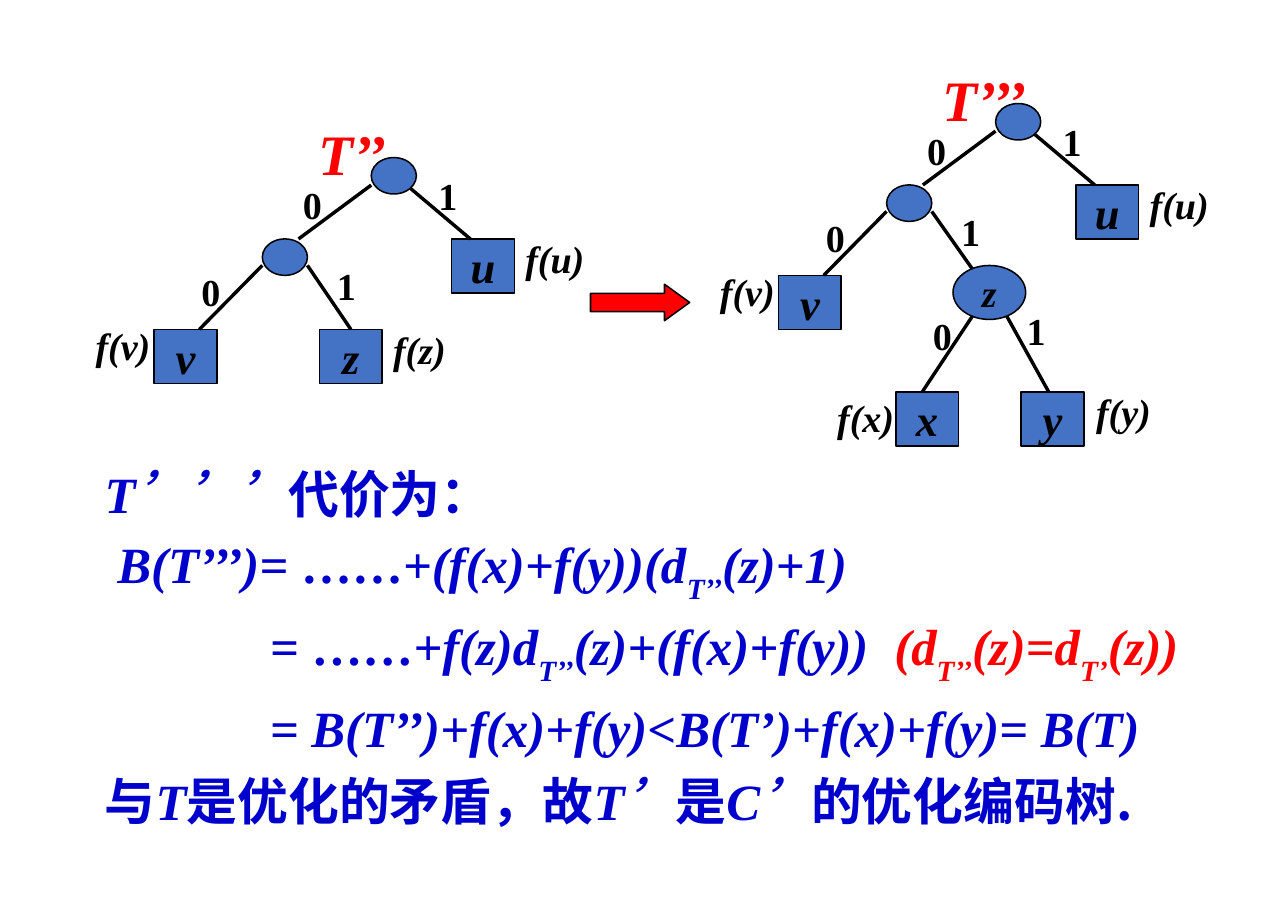
"""Build the slide comparing the coding trees T'' and T''' with their costs."""
from lxml import etree
from pptx import Presentation
from pptx.dml.color import RGBColor
from pptx.enum import shapes, text
from pptx.oxml import ns
from pptx.util import Pt

COLORS = {"blue": "0000CC", "red": "FF0000", "black": "000000", "node": "4472C4"}
LATIN = "Times New Roman"
CHINESE = "Noto Sans CJK SC"
BOX = (41, 35.3)
OVAL = (29.5, 23.8)
RIGHT_TREE = (408, -35.3)

STYLES = {
    "math": {},
    "sub": {"baseline": -30},
    "dots": {"italic": False},
    "chinese": {"italic": False, "font": CHINESE},
    "note": {"color": "red"},
    "notesub": {"color": "red", "baseline": -30},
}
JUSTIFY, LEFT = text.PP_ALIGN.JUSTIFY, text.PP_ALIGN.LEFT
PROOF = [
    (0, JUSTIFY, [("T’’’", "math"), ("代价为：", "chinese")]),
    (9, JUSTIFY, [(" B(T’’’)= ", "math"), ("……", "dots"), ("+(f(x)+f(y))(d", "math"),
                  ("T’’", "sub"), ("(z)+1)", "math")]),
    (9.6, JUSTIFY, [("             = ", "math"), ("……", "dots"), ("+f(z)d", "math"),
                    ("T’’", "sub"), ("(z)+(f(x)+f(y))  ", "math"), ("(d", "note"),
                    ("T’’", "notesub"), ("(z)=d", "note"), ("T’", "notesub"),
                    ("(z))", "note")]),
    (2.4, JUSTIFY, [("             = B(T’’)+f(x)+f(y)<B(T’)+f(x)+f(y)= B(T)", "math")]),
    (3.6, LEFT, [("与", "chinese"), ("T", "math"), ("是优化的矛盾，故", "chinese"),
                 ("T’", "math"), ("是", "chinese"), ("C’", "math"),
                 ("的优化编码树.", "chinese")]),
]


def rgb(name):
    """Return the named colour."""
    return RGBColor.from_string(COLORS[name])


def add_run(paragraph, content, size=24.9, color="black", italic=True, font=LATIN, baseline=0):
    """Write one bold run with its format."""
    run = paragraph.add_run()
    run.text = content
    run.font.size = Pt(size)
    run.font.bold = True
    run.font.italic = italic
    run.font.name = font
    run.font.color.rgb = rgb(color)
    properties = run._r.get_or_add_rPr()
    etree.SubElement(properties, ns.qn("a:ea")).set("typeface", CHINESE)
    if baseline:
        properties.set("baseline", str(baseline * 1000))


def add_node(slide, kind, left, top, size, label="", label_size=29.1, fill="node"):
    """Add a filled, outlined shape with an optional centred label."""
    shape = slide.shapes.add_shape(kind, Pt(left), Pt(top), Pt(size[0]), Pt(size[1]))
    shape.shadow.inherit = False
    shape.fill.solid()
    shape.fill.fore_color.rgb = rgb(fill)
    shape.line.color.rgb = rgb("black")
    shape.line.width = Pt(1)
    if label:
        frame = shape.text_frame
        frame.word_wrap = False
        frame.vertical_anchor = text.MSO_ANCHOR.MIDDLE
        frame.paragraphs[0].alignment = text.PP_ALIGN.CENTER
        add_run(frame.paragraphs[0], label, size=label_size)
    return shape


def add_label(slide, content, left, top, width=60, height=37.4, **style):
    """Add a one-line text label with room to spare."""
    frame = slide.shapes.add_textbox(Pt(left), Pt(top), Pt(width), Pt(height)).text_frame
    frame.word_wrap = True
    frame.auto_size = text.MSO_AUTO_SIZE.NONE
    add_run(frame.paragraphs[0], content, **style)


def add_bit(slide, bit, left, top):
    """Add the 0 or 1 beside an edge."""
    add_label(slide, bit, left, top, width=30, italic=False)


def add_edge(slide, start_x, start_y, end_x, end_y):
    """Add a black tree edge."""
    edge = slide.shapes.add_connector(
        shapes.MSO_CONNECTOR.STRAIGHT, Pt(start_x), Pt(start_y), Pt(end_x), Pt(end_y))
    edge.line.color.rgb = rgb("black")
    edge.line.width = Pt(2.25)
    etree.SubElement(edge._element.spPr, ns.qn("a:effectLst"))
    return edge


def add_upper_tree(slide, name, name_width, shift_x=0, shift_y=0):
    """Draw the part both trees share and return the edge that leads to z."""
    rectangle, oval = shapes.MSO_SHAPE.RECTANGLE, shapes.MSO_SHAPE.OVAL
    for kind, left, top, size, label in [
            (rectangle, 295.2, 156.2, BOX, "u"), (rectangle, 100.8, 215.3, BOX, "v"),
            (oval, 171.4, 156.2, OVAL, "")]:
        add_node(slide, kind, left + shift_x, top + shift_y, size, label)
    for start_x, start_y, end_x, end_y in [
            (242.6, 121, 195.1, 156.2), (265.7, 121, 307.4, 156.2),
            (171.4, 173.5, 130.3, 215.3), (200.9, 173.5, 230.4, 215.3)]:
        edge = add_edge(slide, start_x + shift_x, start_y + shift_y,
                        end_x + shift_x, end_y + shift_y)
    add_node(slide, oval, 242.6 + shift_x, 103 + shift_y, OVAL)
    add_label(slide, name, 200.9 + shift_x, 73.8 + shift_y, name_width, 52.6,
              size=37.4, color="red")
    for bit, left, top in [("0", 190.8, 114.8), ("0", 124.6, 171.7),
                           ("1", 213.1, 167.8), ("1", 279.4, 109)]:
        add_bit(slide, bit, left + shift_x, top + shift_y)
    for label, left, top in [("f(v)", 55.4, 207.4), ("f(u)", 336.2, 150.5)]:
        add_label(slide, label, left + shift_x, top + shift_y)
    return edge


def add_left_tree(slide):
    """Draw T'' with the leaf z."""
    edge = add_upper_tree(slide, "T’’", 75)
    leaf = add_node(slide, shapes.MSO_SHAPE.RECTANGLE, 208.8, 215.3, BOX, "z")
    edge.end_connect(leaf, 0)
    add_label(slide, "f(z)", 249.8, 209.5)


def add_right_tree(slide):
    """Draw T''' with z split into x and y."""
    add_upper_tree(slide, "T’’’", 85, *RIGHT_TREE)
    for label, left in [("x", 585.4), ("y", 667.4)]:
        add_node(slide, shapes.MSO_SHAPE.RECTANGLE, left, 256.3, BOX, label)
    add_edge(slide, 637.9, 203, 602.6, 256.3)
    add_edge(slide, 655.9, 203, 685.4, 256.3)
    add_bit(slide, "0", 602.6, 200.9)
    add_bit(slide, "1", 663.8, 197.3)
    add_label(slide, "f(x)", 540, 254.2)
    add_label(slide, "f(y)", 709.2, 250.6)
    add_node(slide, shapes.MSO_SHAPE.OVAL, 622.8, 173.5, (47.5, 35.3), "z", 24.9)


def fill_proof(body):
    """Place the body placeholder and write the cost derivation."""
    body.left, body.top, body.width, body.height = Pt(61.2), Pt(294.8), Pt(766), Pt(262)
    frame = body.text_frame
    frame.word_wrap = True
    frame.auto_size = text.MSO_AUTO_SIZE.NONE
    frame.vertical_anchor = text.MSO_ANCHOR.TOP
    for index, (space, alignment, runs) in enumerate(PROOF):
        paragraph = frame.add_paragraph() if index else frame.paragraphs[0]
        properties = paragraph._p.get_or_add_pPr()
        properties.set("marL", str(Pt(27.4)))
        properties.set("indent", str(-Pt(27.4)))
        etree.SubElement(properties, ns.qn("a:buNone"))
        paragraph.alignment = alignment
        paragraph.line_spacing = Pt(44)
        paragraph.space_before = Pt(space)
        for content, style in runs:
            add_run(paragraph, content, **{"size": 33.2, "color": "blue", **STYLES[style]})


def main():
    """Build and save the slide."""
    presentation = Presentation()
    presentation.slide_width, presentation.slide_height = Pt(841.68), Pt(595.44)
    slide = presentation.slides.add_slide(presentation.slide_layouts[1])
    title = slide.shapes.title._element
    title.getparent().remove(title)
    fill_proof(slide.placeholders[1])
    add_right_tree(slide)
    arrow = add_node(slide, shapes.MSO_SHAPE.RIGHT_ARROW, 385.9, 185.8, (64.8, 23.8), fill="red")
    arrow.adjustments[1] = 0.69
    add_left_tree(slide)
    presentation.save("out.pptx")


if __name__ == "__main__":
    main()
